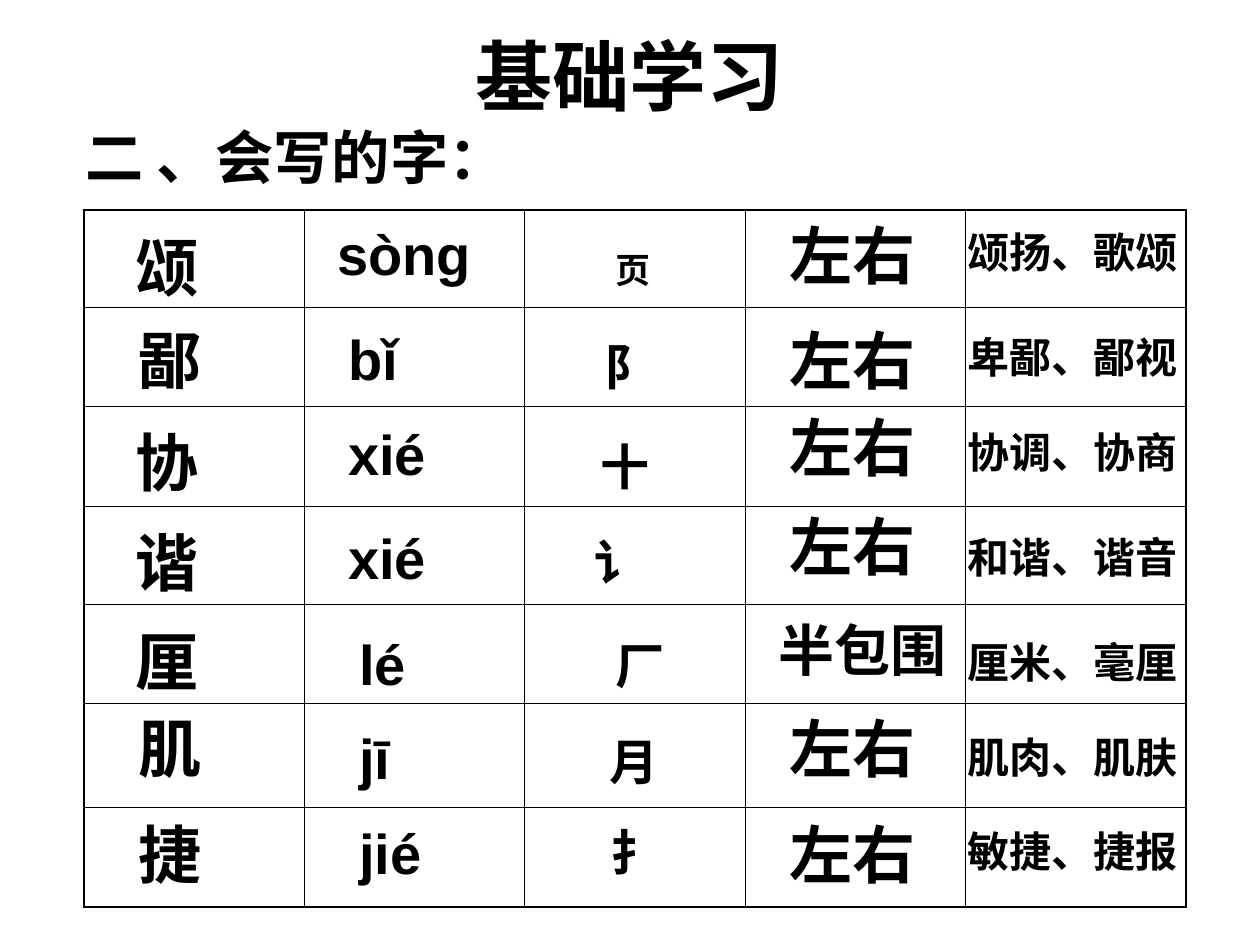
from lxml.etree import SubElement
from pptx import Presentation
from pptx.dml.color import RGBColor
from pptx.enum.text import MSO_ANCHOR as ANCHOR, PP_ALIGN as ALIGN
from pptx.oxml.ns import qn
from pptx.util import Pt

THEME = {
    "ink": "000000",
    "title": 44, "heading": 33.3,
    "outer": 1.08, "inner": 0.45,
}
ARIAL, TIMES, NOTO = "Arial", "Times New Roman", "Noto Sans CJK SC"
EMU_PER_PX = 914400 / 126

TITLE = ("基础学习", (63, 20, 1134, 110))
HEADING = ("二 、会写的字：", (73, 113, 704, 87))

TABLE_X, TABLE_Y, TABLE_W, N_COLS = 84, 210, 1102, 5
ROW_HEIGHTS = [97, 99, 100, 99, 99, 104, 99]
HAND_RADICAL = ("扌", 6, 2, 28)  # text, row, column, size

# Each column: (default format, [(text, x, y, width, format changes)])
COLUMNS = [
    ({"size": 36, "font": TIMES}, [
        ("颂", 123, 222, 129, {}),
        ("鄙", 126, 315, 129, {}),
        ("协", 123, 417, 129, {}),
        ("谐", 123, 517, 129, {}),
        ("厘", 123, 616, 129, {}),
        ("肌", 126, 703, 129, {}),
        ("捷", 126, 809, 129, {}),
    ]),
    ({"size": 32, "font": ARIAL}, [
        ("sòng", 325, 213, 189, {}),
        ("bǐ", 336, 318, 145, {}),
        ("xié", 336, 413, 129, {}),
        ("xié", 336, 517, 129, {}),
        ("lé", 347, 623, 123, {}),
        ("jī", 347, 717, 129, {}),
        ("jié", 347, 812, 129, {}),
    ]),
    ({"size": 28, "font": NOTO, "align": ALIGN.CENTER}, [
        ("页", 549, 242, 169, {"size": 20}),
        ("阝", 540, 330, 179, {}),
        ("十", 540, 430, 169, {}),
        ("讠", 520, 525, 198, {}),
        ("厂", 546, 629, 188, {}),
        ("月", 525, 725, 218, {}),
    ]),
    ({"size": 36, "font": ARIAL}, [
        ("左右", 777, 210, 179, {"font": TIMES}),
        ("左右", 777, 315, 168, {}),
        ("左右", 777, 402, 168, {}),
        ("左右", 777, 501, 168, {}),
        ("半包围", 766, 609, 199, {"size": 32}),
        ("左右", 777, 703, 168, {}),
        ("左右", 777, 809, 168, {}),
    ]),
    ({"size": 24, "font": ARIAL}, [
        ("颂扬、歌颂", 955, 220, 252, {"font": TIMES}),
        ("卑鄙、鄙视", 955, 325, 273, {}),
        ("协调、协商", 955, 420, 252, {"font": TIMES}),
        ("和谐、谐音", 955, 525, 273, {}),
        ("厘米、毫厘", 955, 630, 252, {"font": TIMES}),
        ("肌肉、肌肤", 955, 725, 273, {}),
        ("敏捷、捷报", 955, 819, 273, {}),
    ]),
]


def px(n):
    return round(n * EMU_PER_PX)


def write(tf, text, size, font=ARIAL, align=ALIGN.LEFT):
    """Put one bold line of text in the middle of a text frame."""
    frame_format = {"word_wrap": True, "vertical_anchor": ANCHOR.MIDDLE,
                    "margin_top": 0, "margin_bottom": 0}
    for name, value in frame_format.items():
        setattr(tf, name, value)
    p = tf.paragraphs[0]
    p.alignment = align
    r = p.add_run()
    r.text = text
    for name, value in {"name": font, "size": Pt(size), "bold": True}.items():
        setattr(r.font, name, value)
    r.font.color.rgb = RGBColor.from_string(THEME["ink"])
    SubElement(r.font._element, qn("a:ea"), typeface=NOTO)


def add_text(slide, text, box, **fmt):
    s = slide.shapes.add_textbox(*map(px, box))
    write(s.text_frame, text, **fmt)


def set_borders(cell, widths):
    tc_pr = cell._tc.get_or_add_tcPr()
    for i, (side, width) in enumerate(widths.items()):
        ln = SubElement(tc_pr, qn(f"a:ln{side}"), w=str(Pt(width)))
        fill = SubElement(ln, qn("a:solidFill"))
        SubElement(fill, qn("a:srgbClr"), val=THEME["ink"])
        tc_pr.remove(ln)
        tc_pr.insert(i, ln)  # borders come before the fill


def add_grid(slide):
    n_rows = len(ROW_HEIGHTS)
    box = (TABLE_X, TABLE_Y, TABLE_W, sum(ROW_HEIGHTS))
    table = slide.shapes.add_table(n_rows, N_COLS, *map(px, box)).table
    table.first_row = table.horz_banding = False
    for col in table.columns:
        col.width = px(TABLE_W / N_COLS)
    for row, height in zip(table.rows, ROW_HEIGHTS):
        row.height = px(height)
    for r in range(n_rows):
        for c in range(N_COLS):
            cell = table.cell(r, c)
            cell.fill.background()
            on_edge = {"L": c == 0, "R": c == N_COLS - 1,
                       "T": r == 0, "B": r == n_rows - 1}
            set_borders(cell, {side: THEME["outer" if edge else "inner"]
                               for side, edge in on_edge.items()})
    text, r, c, size = HAND_RADICAL
    cell = table.cell(r, c)
    write(cell.text_frame, text, size, align=ALIGN.CENTER)
    cell.vertical_anchor = ANCHOR.MIDDLE
    cell.margin_top, cell.margin_bottom = 0, px(14)


def main():
    prs = Presentation()
    prs.slide_width, prs.slide_height = px(1260), px(945)
    slide = prs.slides.add_slide(prs.slide_layouts[5])

    text, box = TITLE
    title = slide.shapes.title
    for name, value in zip(("left", "top", "width", "height"), box):
        setattr(title, name, px(value))
    write(title.text_frame, text, THEME["title"], align=ALIGN.CENTER)
    add_text(slide, *HEADING, size=THEME["heading"])

    add_grid(slide)
    for base, entries in COLUMNS:
        for text, x, y, width, changes in entries:
            fmt = {**base, **changes}
            height = round(12.6 + 2.1 * fmt["size"])  # insets + 1.2 lines
            add_text(slide, text, (x, y, width, height), **fmt)
    prs.save("out.pptx")


if __name__ == "__main__":
    main()
